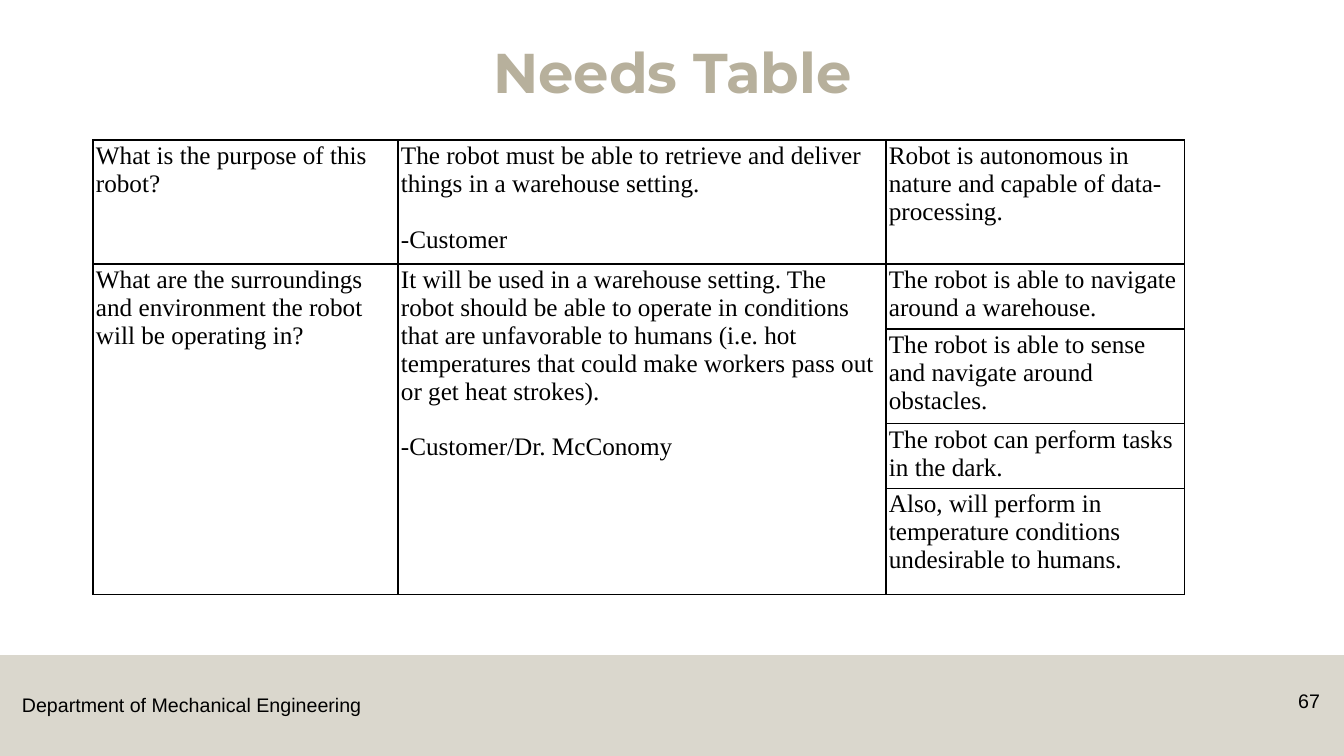
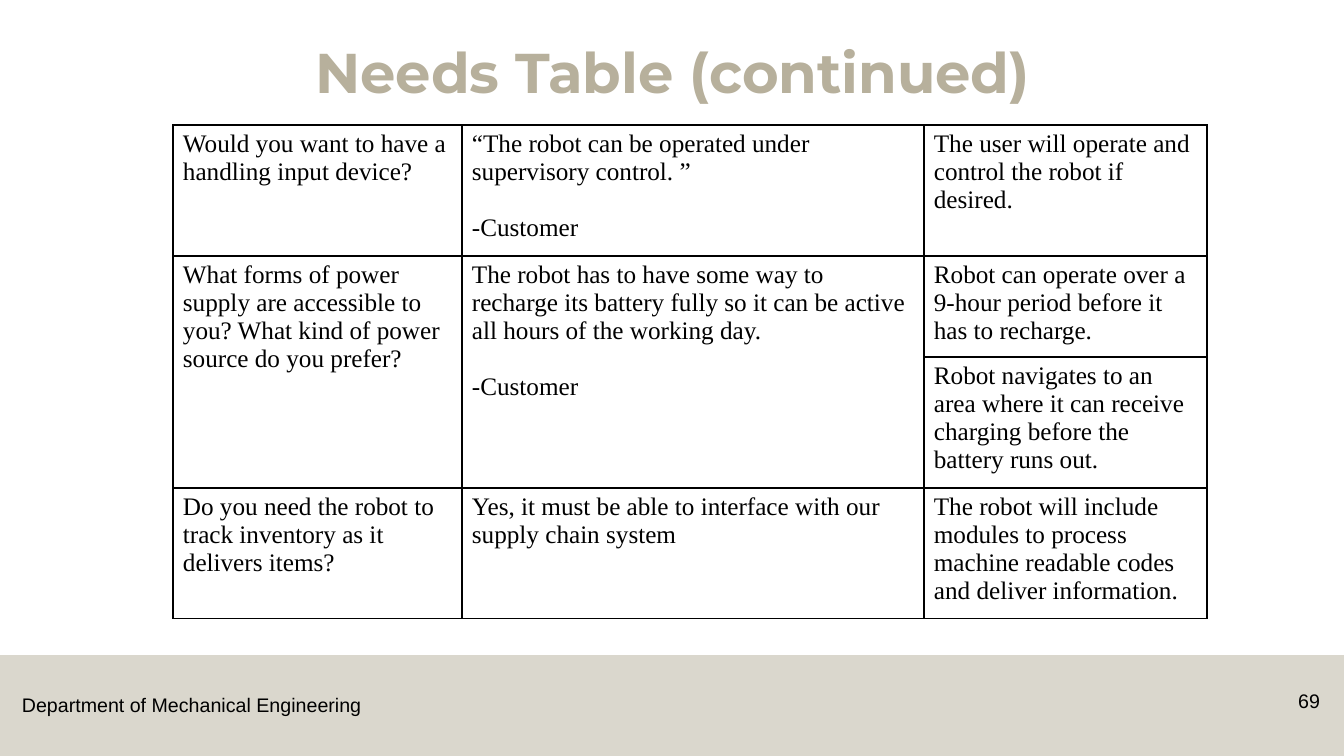
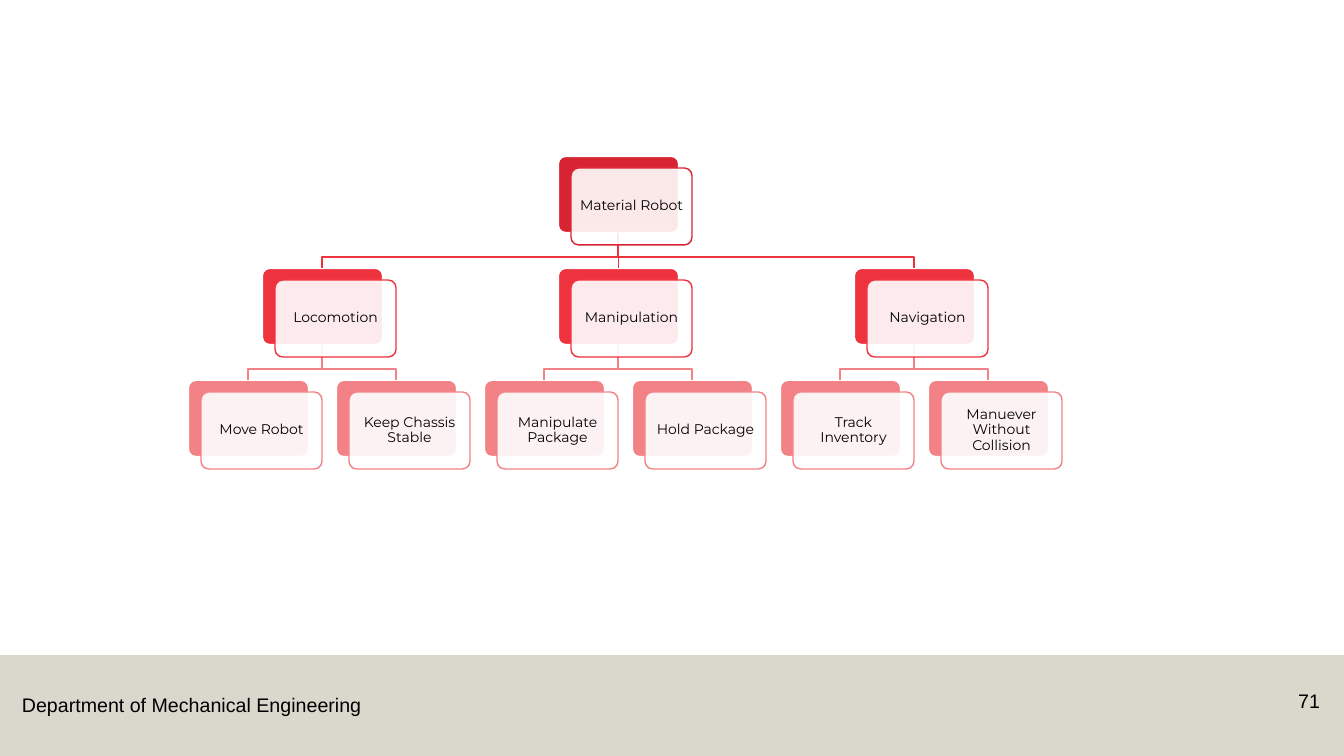
from pptx import Presentation
from pptx.dml.color import RGBColor
from pptx.enum.shapes import MSO_CONNECTOR, MSO_SHAPE
from pptx.enum.text import MSO_ANCHOR, MSO_AUTO_SIZE, PP_ALIGN
from pptx.oxml import parse_xml
from pptx.oxml.ns import nsdecls, qn
from pptx.util import Pt
from lxml import etree

SCALE = 914400 / 100.8
WIDTH, HEIGHT = 1344, 756
COLORS = {
    "sand": "B7B09C",
    "black": "000000",
    "white": "FFFFFF",
    "root": "D82332",
    "branch": "EE323E",
    "leaf": "F28285",
}
LEVELS = ("root", "branch", "leaf")
TITLE_ONLY, BLANK = 5, 6

CARD_WIDTH, CARD_HEIGHT = 121, 77
CARD_SHIFT = (13, 12)
LEAF_LEFT, LEAF_STEP = 188, 148
TREE_TOP, LEVEL_STEP = 156, 112
LINK_DROP = 24

NEEDS = [
    ["What is the purpose of this robot?",
     "The robot must be able to retrieve and deliver things in a warehouse setting.\n-Customer",
     "Robot is autonomous in nature and capable of data-processing."],
    ["What are the surroundings and environment the robot will be operating in?",
     "It will be used in a warehouse setting. The robot should be able to operate in "
     "conditions that are unfavorable to humans (i.e. hot temperatures that could make "
     "workers pass out or get heat strokes).\n-Customer/Dr. McConomy",
     "The robot is able to navigate around a warehouse."],
    [None, None, "The robot is able to sense and navigate around obstacles."],
    [None, None, "The robot can perform tasks in the dark."],
    [None, None, "Also, will perform in temperature conditions undesirable to humans."],
]
MORE_NEEDS = [
    ["Would you want to have a handling input device?",
     "“The robot can be operated under supervisory control. ”\n-Customer",
     "The user will operate and control the robot if desired."],
    ["What forms of power supply are accessible to you? "
     "What kind of power source do you prefer?",
     "The robot has to have some way to recharge its battery fully so it can be active "
     "all hours of the working day.\n-Customer",
     "Robot can operate over a 9-hour period before it has to recharge."],
    [None, None,
     "Robot navigates to an area where it can receive charging before the battery runs out."],
    ["Do you need the robot to track inventory as it delivers items?",
     "Yes, it must be able to interface with our supply chain system",
     "The robot will include modules to process machine readable codes "
     "and deliver information."],
]
FUNCTIONS = ("Material Robot", [
    ("Locomotion", [("Move Robot", []), ("Keep Chassis Stable", [])]),
    ("Manipulation", [("Manipulate Package", []), ("Hold Package", [])]),
    ("Navigation", [("Track Inventory", []), ("Manuever Without Collision", [])]),
])


def px(length):
    return round(length * SCALE)


def rgb(name):
    return RGBColor.from_string(COLORS[name])


def add_text(para, text, font, size, color="black", bold=False):
    span = para.add_run()
    span.text = text
    span.font.name = font
    span.font.size = Pt(size)
    span.font.bold = bold
    span.font.color.rgb = rgb(color)


def set_insets(holder, across, down):
    holder.margin_left = holder.margin_right = px(across)
    holder.margin_top = holder.margin_bottom = px(down)


def add_box(slide, kind, place, fill, opacity=100, line=None, weight=1):
    """Add a preset shape; opacity is a percentage."""
    box = slide.shapes.add_shape(kind, *map(px, place))
    box.shadow.inherit = False
    box.fill.solid()
    box.fill.fore_color.rgb = rgb(fill)
    if opacity < 100:
        color = box.fill._xPr.find(qn("a:solidFill"))[0]
        etree.SubElement(color, qn("a:alpha"), val=str(opacity * 1000))
    if line:
        box.line.color.rgb = rgb(line)
        box.line.width = Pt(weight)
    else:
        box.line.fill.background()
    return box


def add_label(slide, place, text, align, wrap):
    frame = slide.shapes.add_textbox(*map(px, place)).text_frame
    frame.word_wrap = wrap
    para = frame.paragraphs[0]
    para.alignment = align
    add_text(para, text, "Arial", 14)


def add_slide(deck, number, title=None):
    """Add a slide with the footer band and, if given, a title."""
    slide = deck.slides.add_slide(deck.slide_layouts[TITLE_ONLY if title else BLANK])
    add_box(slide, MSO_SHAPE.RECTANGLE, (0, 655, WIDTH, 101), "sand", opacity=50)
    add_label(slide, (12, 688, 362, 34), "Department of Mechanical Engineering",
              PP_ALIGN.LEFT, False)
    add_label(slide, (1252, 684, 78, 40), str(number), PP_ALIGN.RIGHT, True)
    if title:
        heading = slide.shapes.title
        heading.left, heading.top, heading.width, heading.height = map(px, (93, 40, 1159, 146))
        frame = heading.text_frame
        frame.auto_size = MSO_AUTO_SIZE.NONE
        frame.vertical_anchor = MSO_ANCHOR.TOP
        para = frame.paragraphs[0]
        para.alignment = PP_ALIGN.CENTER
        para.line_spacing = 0.9
        add_text(para, title, "Montserrat", 40, "sand", bold=True)
    return slide


def add_borders(cell):
    properties = cell._tc.get_or_add_tcPr()
    for position, side in enumerate("LRTB"):
        properties.insert(position, parse_xml(
            f'<a:ln{side} {nsdecls("a")} w="12700"><a:solidFill>'
            f'<a:srgbClr val="{COLORS["black"]}"/></a:solidFill></a:ln{side}>'))


def fill_cell(cell, text):
    for index, line in enumerate(text.split("\n")):
        frame = cell.text_frame
        para = frame.add_paragraph() if index else frame.paragraphs[0]
        if index:
            para.space_before = Pt(20)
        add_text(para, line, "Times New Roman", 18)


def add_needs_table(slide, left, top, widths, heights, rows, insets):
    """Add a table in which None continues the cell above."""
    table = slide.shapes.add_table(
        len(heights), len(widths), px(left), px(top),
        px(sum(widths)), px(sum(heights))).table
    table.first_row = table.horz_banding = False
    for column, width in zip(table.columns, widths):
        column.width = px(width)
    for row, height in zip(table.rows, heights):
        row.height = px(height)
    for row_index, row in enumerate(rows):
        for column_index, text in enumerate(row):
            cell = table.cell(row_index, column_index)
            set_insets(cell, *insets)
            cell.fill.background()
            add_borders(cell)
            if text is None:
                continue
            fill_cell(cell, text)
            last = row_index
            while last + 1 < len(rows) and rows[last + 1][column_index] is None:
                last += 1
            if last > row_index:
                cell.merge(table.cell(last, column_index))


def place_cards(node, level=0, first_leaf=0):
    """Return the cards of a tree as dicts, its own root first."""
    text, children = node
    card = {"text": text, "level": level, "top": TREE_TOP + level * LEVEL_STEP,
            "children": [], "leaves": 0 if children else 1}
    cards = [card]
    for child in children:
        branch = place_cards(child, level + 1, first_leaf + card["leaves"])
        card["children"].append(branch[0])
        card["leaves"] += branch[0]["leaves"]
        cards += branch
    card["left"] = LEAF_LEFT + LEAF_STEP * (2 * first_leaf + card["leaves"] - 1) // 2
    return cards


def add_card_back(slide, card):
    place = (card["left"], card["top"], CARD_WIDTH, CARD_HEIGHT)
    box = add_box(slide, MSO_SHAPE.ROUNDED_RECTANGLE, place, LEVELS[card["level"]],
                  line="white", weight=1.5)
    box.adjustments[0] = 0.1
    card["back"] = box


def add_card_front(slide, card):
    place = (card["left"] + CARD_SHIFT[0], card["top"] + CARD_SHIFT[1],
             CARD_WIDTH, CARD_HEIGHT)
    box = add_box(slide, MSO_SHAPE.ROUNDED_RECTANGLE, place, "white", opacity=90,
                  line=LEVELS[card["level"]])
    box.adjustments[0] = 0.1
    frame = box.text_frame
    frame.word_wrap = True
    frame.vertical_anchor = MSO_ANCHOR.MIDDLE
    set_insets(frame, 5, 5)
    para = frame.paragraphs[0]
    para.alignment = PP_ALIGN.CENTER
    para.line_spacing = 0.9
    add_text(para, card["text"], "Montserrat", 10)


def add_link(slide, parent, child):
    """Join two cards, straight down or by way of a shared crossbar."""
    start_x, end_x = (card["left"] + CARD_WIDTH / 2 for card in (parent, child))
    start_y = parent["top"] + CARD_HEIGHT
    bar_y = start_y + LINK_DROP
    if start_x == end_x:
        link = slide.shapes.add_connector(MSO_CONNECTOR.STRAIGHT, 0, 0, 0, 0)
        link.begin_connect(parent["back"], 2)
        link.end_connect(child["back"], 0)
        etree.SubElement(link._element.spPr, qn("a:effectLst"))
    else:
        builder = slide.shapes.build_freeform(start_x, start_y, scale=SCALE)
        builder.add_line_segments(
            [(start_x, bar_y), (end_x, bar_y), (end_x, child["top"])], close=False)
        link = builder.convert_to_shape()
        link.shadow.inherit = False
        link.fill.background()
    link.line.color.rgb = rgb(LEVELS[child["level"]])
    link.line.width = Pt(1)


def add_tree(slide, root):
    cards = place_cards(root)
    for card in cards:
        add_card_back(slide, card)
    for card in cards:
        for child in card["children"]:
            add_link(slide, card, child)
    for card in cards:
        add_card_front(slide, card)


def main():
    deck = Presentation()
    deck.slide_width, deck.slide_height = px(WIDTH), px(HEIGHT)
    add_needs_table(add_slide(deck, 67, "Needs Table"), 93, 140,
                    (305, 488, 299), (124, 65, 94, 64, 106), NEEDS, (3, 2))
    add_needs_table(add_slide(deck, 69, "Needs Table (continued)"), 173, 125,
                    (289, 462, 283), (131, 101, 131, 131), MORE_NEEDS, (10, 5))
    add_tree(add_slide(deck, 71), FUNCTIONS)
    deck.save("out.pptx")


if __name__ == "__main__":
    main()
